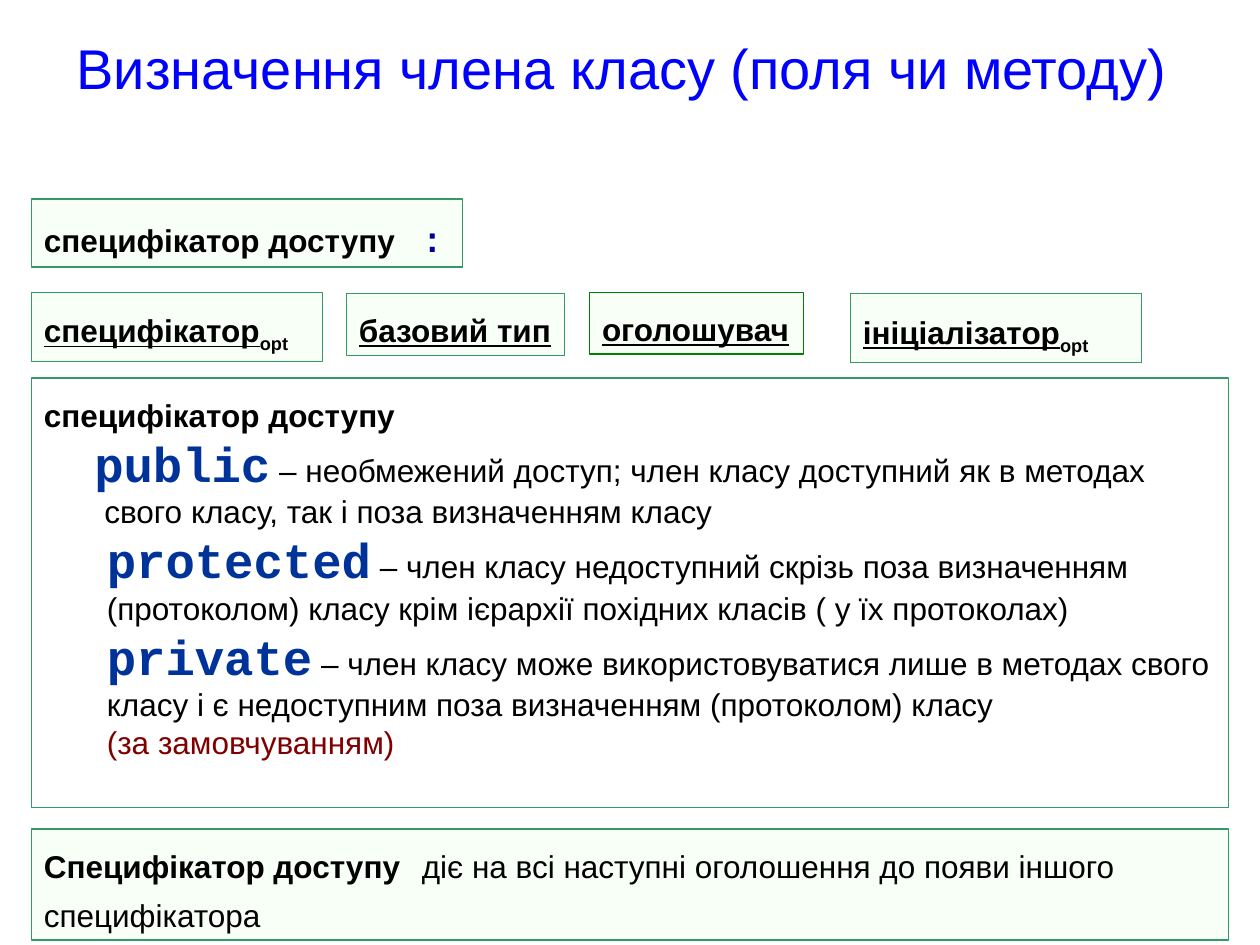
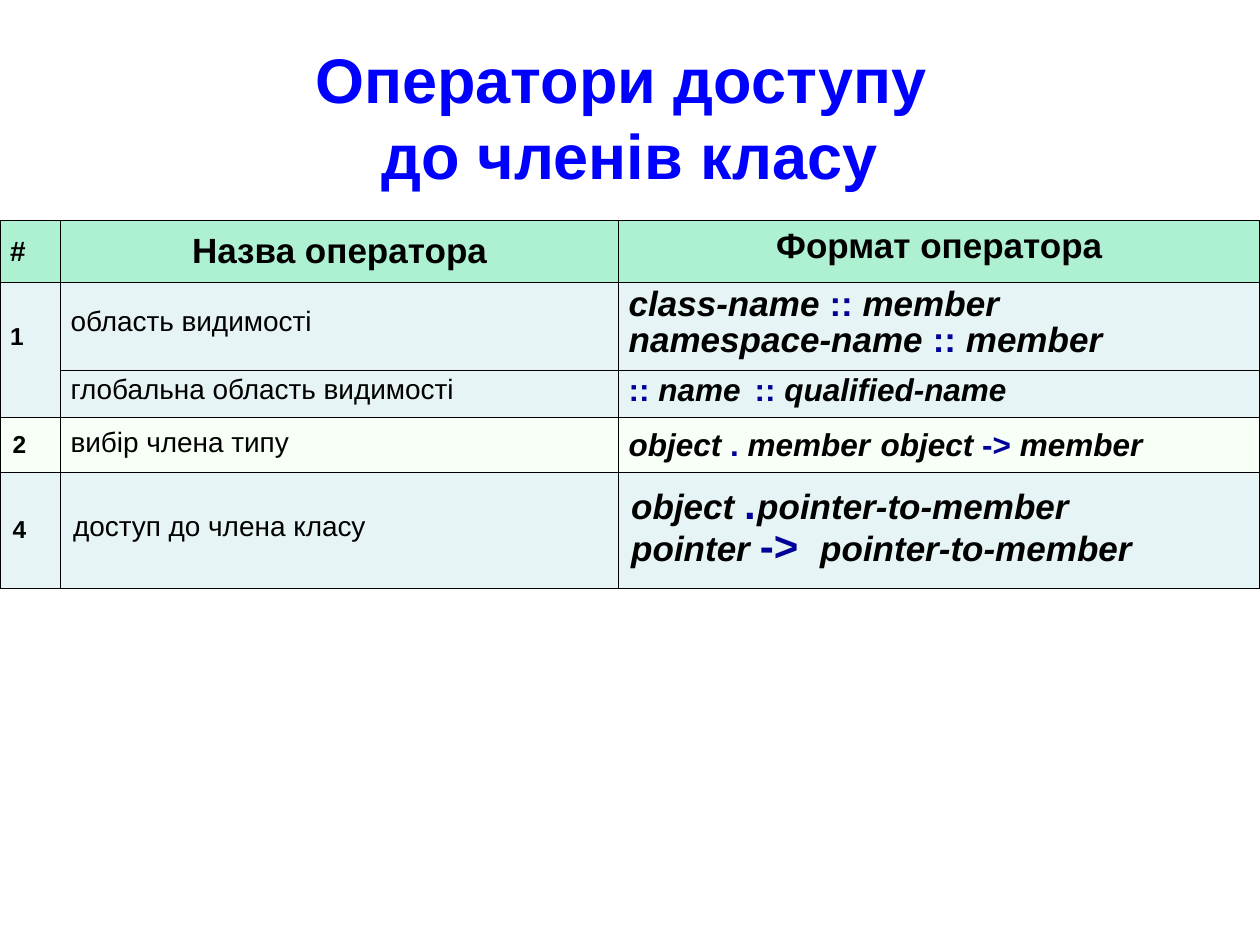
import pptx
import pptx.util
import pptx.dml.color
import pptx.enum.shapes
import pptx.enum.text
import pptx.oxml.ns
import lxml.etree

Inches = pptx.util.Inches
Pt = pptx.util.Pt
qn = pptx.oxml.ns.qn
ALIGN = pptx.enum.text.PP_ALIGN
ANCHOR = pptx.enum.text.MSO_ANCHOR

COLORS = {
    "title": "0000FF", "text": "000000", "word": "003399", "sign": "000099",
    "note": "800000", "edge": "339966", "green": "008000", "white": "FFFFFF",
    "mint": "F7FFF7", "head": "AEF0D2", "band": "E7F4F5",
}

# Run styles; a run is (text, style, size)
STYLES = {
    "plain": {},
    "bold": {"bold": True},
    "term": {"bold": True, "line": True},
    "sub": {"bold": True, "base": -25000},
    "title": {"color": "title"},
    "main": {"color": "title", "bold": True},
    "word": {"color": "word", "bold": True, "font": "Courier New"},
    "colon": {"color": "sign", "bold": True, "font": "Courier New"},
    "note": {"color": "note"},
    "name": {"bold": True, "italic": True},
    "sign": {"color": "sign", "bold": True},
}


def rgb(name):
    return pptx.dml.color.RGBColor.from_string(COLORS[name])


def para(*runs, space=None, before=0, left=0, tab=None, align=ALIGN.LEFT):
    return {"runs": runs, "space": space, "before": before, "left": left,
            "tab": tab, "align": align}


def style_run(run, style, size):
    look = STYLES[style]
    font = run.font
    font.name = look.get("font", "Arial")
    font.size = Pt(size)
    font.bold = look.get("bold", False)
    font.italic = look.get("italic", False)
    font.underline = look.get("line", False)
    font.color.rgb = rgb(look.get("color", "text"))
    if "base" in look:
        run._r.get_or_add_rPr().set("baseline", str(look["base"]))


def write(frame, paras):
    for i, item in enumerate(paras):
        p = frame.paragraphs[0] if i == 0 else frame.add_paragraph()
        p.alignment = item["align"]
        p.space_before = Pt(item["before"])
        if item["space"]:
            p.line_spacing = item["space"]
        props = p._p.get_or_add_pPr()
        props.set("marL", str(Inches(item["left"])))
        props.set("indent", "0")
        if item["tab"]:
            tabs = lxml.etree.SubElement(props, qn("a:tabLst"))
            lxml.etree.SubElement(tabs, qn("a:tab"), algn="l",
                                  pos=str(Inches(item["tab"])))
        for text, style, size in item["runs"]:
            run = p.add_run()
            run.text = text
            style_run(run, style, size)


def add_title(slide, top, lines, style, size):
    box = slide.shapes.add_textbox(0, Inches(top), Inches(10), Inches(1.25))
    frame = box.text_frame
    frame.word_wrap = True
    frame.vertical_anchor = ANCHOR.MIDDLE
    p = frame.paragraphs[0]
    p.text = "\v".join(lines)
    p.alignment = ALIGN.CENTER
    for run in p.runs:
        style_run(run, style, size)


def add_box(slide, box, paras, fill="mint", edge="edge", wrap=True):
    shape = slide.shapes.add_shape(pptx.enum.shapes.MSO_SHAPE.RECTANGLE,
                                   *[Inches(v) for v in box])
    shape.shadow.inherit = False
    shape.fill.solid()
    shape.fill.fore_color.rgb = rgb(fill)
    shape.line.color.rgb = rgb(edge)
    shape.line.width = Pt(0.75)
    frame = shape.text_frame
    frame.word_wrap = wrap
    frame.vertical_anchor = ANCHOR.TOP
    write(frame, paras)


def add_edges(cell, widths):
    props = cell._tc.get_or_add_tcPr()
    for i, (side, width) in enumerate(zip("LRTB", widths)):
        line = lxml.etree.Element(qn("a:ln" + side), w=str(Pt(width)))
        fill = lxml.etree.SubElement(line, qn("a:solidFill"))
        lxml.etree.SubElement(fill, qn("a:srgbClr"), val=COLORS["text"])
        props.insert(i, line)


def add_grid(slide, top, heights, fills, rows, pads, heavy):
    """Each row holds three lists of paragraphs; heavy marks top and bottom."""
    widths = [0.48, 4.43, 5.09]
    table = slide.shapes.add_table(
        len(rows), 3, 0, Inches(top), Inches(10), Inches(sum(heights))).table
    table.first_row = table.horz_banding = False
    for col, width in zip(table.columns, widths):
        col.width = Inches(width)
    thin, thick = 0.45, 1.08
    last = len(rows) - 1
    for r, row in enumerate(rows):
        table.rows[r].height = Inches(heights[r])
        for c, paras in enumerate(row):
            cell = table.cell(r, c)
            cell.fill.solid()
            cell.fill.fore_color.rgb = rgb(fills[r])
            cell.margin_left = cell.margin_right = Inches(pads[r][c])
            cell.vertical_anchor = ANCHOR.MIDDLE
            marks = (c == 0, c == 2, heavy and r == 0, heavy and r == last)
            add_edges(cell, [thick if m else thin for m in marks])
            write(cell.text_frame, paras)
    return table


# Slide 1: member definition
def add_syntax(slide, left, top):
    def term(*runs, tab=None):
        return [para(*runs, space=1.3, tab=tab)]

    add_box(slide, (left, top, 3.42, 0.54),
            term(("специфікатор доступу\t", "bold", 18), (":", "colon", 20),
                 tab=3.02))
    top += 0.74
    opt = ("opt", "sub", 18)
    add_box(slide, (left, top, 2.31, 0.55),
            term(("специфікатор", "term", 18), opt))
    add_box(slide, (left + 2.5, top + 0.01, 1.73, 0.49),
            term(("базовий тип", "term", 18)), wrap=False)
    add_box(slide, (left + 4.43, top, 1.7, 0.49),
            term(("оголошувач", "term", 18)), edge="green", wrap=False)
    add_box(slide, (left + 6.5, top + 0.01, 2.31, 0.55),
            term(("ініціалізатор", "term", 18), opt, ("\t", "term", 18),
                 tab=1.99))


def add_access(slide, box):
    def entry(word, text, left):
        return para((word, "word", 28), (" – " + text, "plain", 18), left=left)

    add_box(slide, box, [
        para(("специфікатор доступу", "bold", 18), space=1.3),
        entry("public", "необмежений доступ; член класу доступний як в методах",
              0.4),
        para(("свого класу, так і поза визначенням класу", "plain", 18),
             left=0.48),
        entry("protected", "член класу недоступний скрізь поза визначенням "
              "(протоколом) класу крім ієрархії похідних класів "
              "( у їх протоколах)", 0.5),
        entry("private", "член класу може використовуватися лише в методах "
              "свого класу і є недоступним поза визначенням (протоколом) класу",
              0.5),
        para(("(за замовчуванням)", "note", 18), left=0.5),
    ], fill="white")


def add_scope(slide, box):
    add_box(slide, box, [para(
        ("Специфікатор доступу", "bold", 18),
        ("\tдіє на всі наступні оголошення до появи іншого специфікатора",
         "plain", 18), space=1.3, tab=2.97)])


def make_member(slide):
    add_title(slide, -0.09, ["Визначення члена класу (поля чи методу) "],
              "title", 32)
    add_access(slide, (0.25, 3, 9.5, 3.41))
    add_syntax(slide, 0.25, 1.58)
    add_scope(slide, (0.25, 6.58, 9.5, 0.88))


# Slide 2: access operators
def number(text):
    return [para((text, "bold", 14), before=3.5)]


def label(text, space):
    return [para((text, "plain", 16), before=4, space=space)]


def heading(text):
    return [para((text, "bold", 20), before=5, align=ALIGN.CENTER)]


def form(size, *parts, **opts):
    """Parts that begin with an operator sign take the sign style."""
    runs = [(t, "sign" if t[0] in ":.-" else "name", size) for t in parts]
    return para(*runs, before=size / 4, **opts)


def add_common(slide, top):
    rows = [
        [[para(("#", "bold", 16), before=4)],
         heading("Назва оператора"), heading("Формат оператора")],
        [number("1"), label("область видимості", 0.6),
         [form(20, word + " ", ":: ", "member", space=0.7)
          for word in ("class-name", "namespace-name")]],
        [[], label("глобальна область видимості", 0.6),
         [form(18, ":: ", "name\t", ":: ", "qualified-name",
               space=0.7, tab=2.29)]],
        [number("2"), label("вибір члена типу", 0.8),
         [form(18, "object ", ". ", "member\t", "object ", "-> ", "member",
               tab=2.48)]],
    ]
    pads = [[0.08] * 3] * 3 + [[0.1, 0.08, 0.08]]
    table = add_grid(slide, top, [0.49, 0.7, 0.37, 0.45],
                     ["head", "band", "band", "mint"], rows, pads, True)
    table.cell(0, 2).vertical_anchor = ANCHOR.TOP
    first = table.cell(1, 0)
    first.merge(table.cell(2, 0))
    first.margin_bottom = Inches(0.25)


def add_pointer(slide, top):
    target = "pointer-to-member"
    forms = [form(20, "object ", ".\t", target, space=0.7, tab=1.27),
             form(20, "pointer ", "->\t", target, space=0.7, tab=1.61)]
    for item in forms:
        start, (sign, style, _), end = item["runs"]
        item["runs"] = (start, (sign, style, 24), end)
    add_grid(slide, top, [0.92], ["band"],
             [[number("4"), label("доступ до члена класу", 0.7), forms]],
             [[0.1] * 3], False)


def make_access(slide):
    add_title(slide, 0.3, ["Оператори доступу ", "до членів класу"], "main", 36)
    add_common(slide, 1.75)
    add_pointer(slide, 3.75)


def main():
    deck = pptx.Presentation()
    deck.slide_width, deck.slide_height = Inches(10), Inches(7.5)
    for make in (make_member, make_access):
        make(deck.slides.add_slide(deck.slide_layouts[6]))
    deck.save("out.pptx")


if __name__ == "__main__":
    main()
